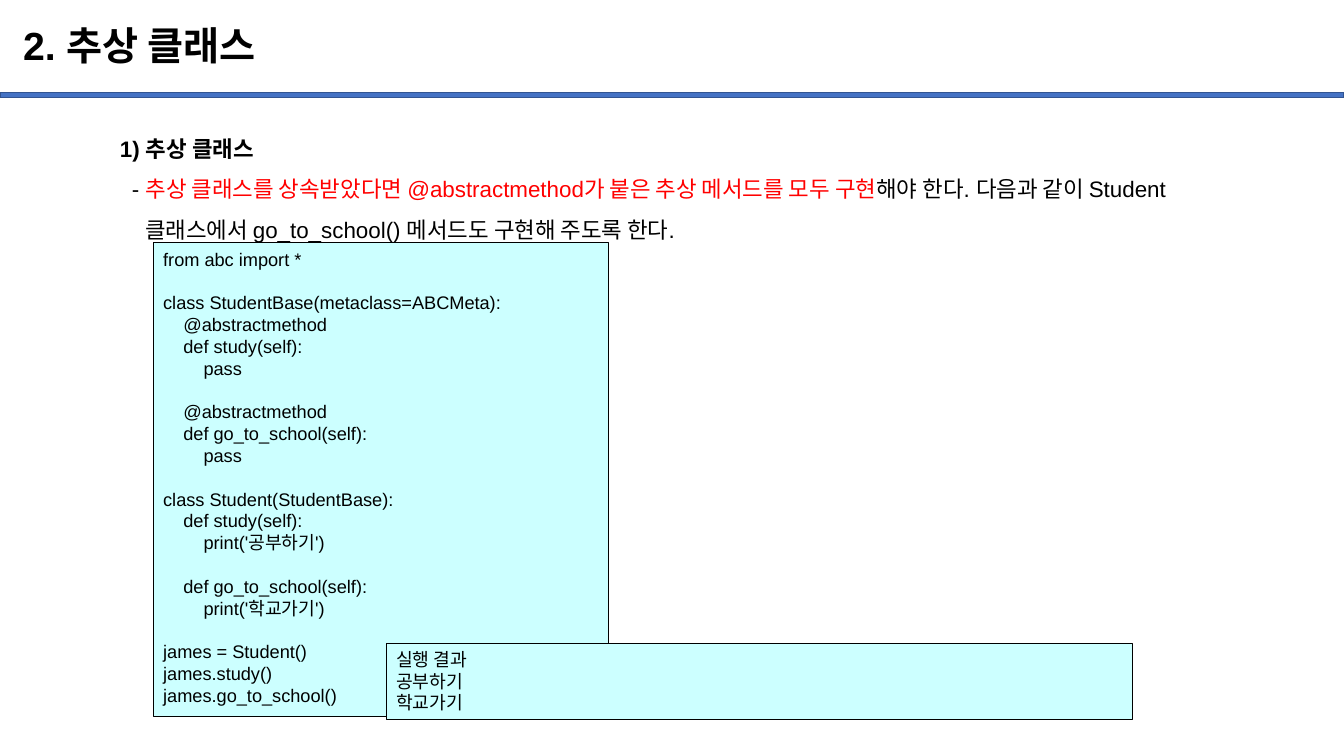
"""Build a slide on abstract classes with a code listing and its output."""
from pptx import Presentation
from pptx.dml.color import RGBColor
from pptx.enum.shapes import MSO_SHAPE as Shape
from pptx.enum.text import MSO_ANCHOR as Anchor, PP_ALIGN as Align
from pptx.util import Inches, Pt

BLACK = RGBColor(0x00, 0x00, 0x00)
RED = RGBColor(0xFF, 0x00, 0x00)
BLUE = RGBColor(0x44, 0x72, 0xC4)
NAVY = RGBColor(0x32, 0x54, 0x91)
AQUA = RGBColor(0xCC, 0xFF, 0xFF)

CODE = """from abc import *

class StudentBase(metaclass=ABCMeta):
    @abstractmethod
    def study(self):
        pass

    @abstractmethod
    def go_to_school(self):
        pass

class Student(StudentBase):
    def study(self):
        print('공부하기')

    def go_to_school(self):
        print('학교가기')

james = Student()
james.study()
james.go_to_school()"""

RESULT = """실행 결과
공부하기
학교가기"""

EXPLANATION = [
    (0, True, [("1) 추상 클래스", BLACK)]),
    (0.12, False, [
        ("- ", BLACK),
        ("추상 클래스를 상속받았다면 @abstractmethod가 붙은 추상 메서드를 모두 구현", RED),
        ("해야 한다. 다음과 같이 Student", BLACK),
    ]),
    (0.25, False, [("클래스에서 go_to_school() 메서드도 구현해 주도록 한다.", BLACK)]),
]


class SlideBuilder:
    font = "Arial"
    code_size = 13
    code_pitch = Pt(15.6)
    code_indent = 0.05

    def __init__(self, page):
        self.page = page

    def style(self, para, size, bold=False, indent=0):
        para.alignment = Align.LEFT
        para.font.name = self.font
        para.font.size = Pt(size)
        para.font.bold = bold
        para.font.color.rgb = BLACK
        if indent:
            properties = para._p.get_or_add_pPr()
            properties.set("marL", str(Inches(indent)))
            properties.set("indent", "0")

    def title(self, text, left, top, width, height):
        box = self.page.shapes.title
        box.left, box.top = Inches(left), Inches(top)
        box.width, box.height = Inches(width), Inches(height)
        box.text_frame.text = text
        box.text_frame.vertical_anchor = Anchor.MIDDLE
        para = box.text_frame.paragraphs[0]
        para.line_spacing = 0.9
        self.style(para, 28, bold=True)

    def rectangle(self, left, top, width, height, fill, line, weight):
        box = self.page.shapes.add_shape(
            Shape.RECTANGLE, Inches(left), Inches(top), Inches(width), Inches(height))
        box.shadow.inherit = False
        box.fill.solid()
        box.fill.fore_color.rgb = fill
        box.line.color.rgb = line
        box.line.width = Pt(weight)
        return box

    def explanation(self, entries, left, top, width, height):
        box = self.page.shapes.add_textbox(
            Inches(left), Inches(top), Inches(width), Inches(height))
        frame = box.text_frame
        frame.word_wrap = True
        for number, (indent, bold, spans) in enumerate(entries):
            para = frame.add_paragraph() if number else frame.paragraphs[0]
            para.line_spacing = 1.5
            self.style(para, 16, bold, indent)
            for text, color in spans:
                span = para.add_run()
                span.text = text
                span.font.color.rgb = color

    def listing(self, text, left, top, width, height):
        frame = self.rectangle(left, top, width, height, AQUA, BLACK, 0.75).text_frame
        frame.word_wrap = True
        frame.vertical_anchor = Anchor.TOP
        for number, block in enumerate(text.split("\n\n")):
            for row, line in enumerate(block.split("\n")):
                para = frame.add_paragraph() if number or row else frame.paragraphs[0]
                code = line.lstrip()
                para.text = code
                para.line_spacing = self.code_pitch
                if number and not row:
                    para.space_before = self.code_pitch
                self.style(para, self.code_size,
                           indent=(len(line) - len(code)) * self.code_indent)


def main():
    deck = Presentation()
    deck.slide_width, deck.slide_height = Inches(13.33), Inches(7.5)
    builder = SlideBuilder(deck.slides.add_slide(deck.slide_layouts[5]))
    builder.rectangle(0, 0.92, 13.33, 0.05, BLUE, NAVY, 1)
    builder.title("2. 추상 클래스", 0.13, 0.1, 11.5, 0.74)
    builder.explanation(EXPLANATION, 1.09, 1.16, 11.72, 1.26)
    builder.listing(CODE, 1.52, 2.41, 4.52, 4.7)
    builder.listing(RESULT, 3.83, 6.38, 7.4, 0.76)
    deck.save("out.pptx")


if __name__ == "__main__":
    main()
